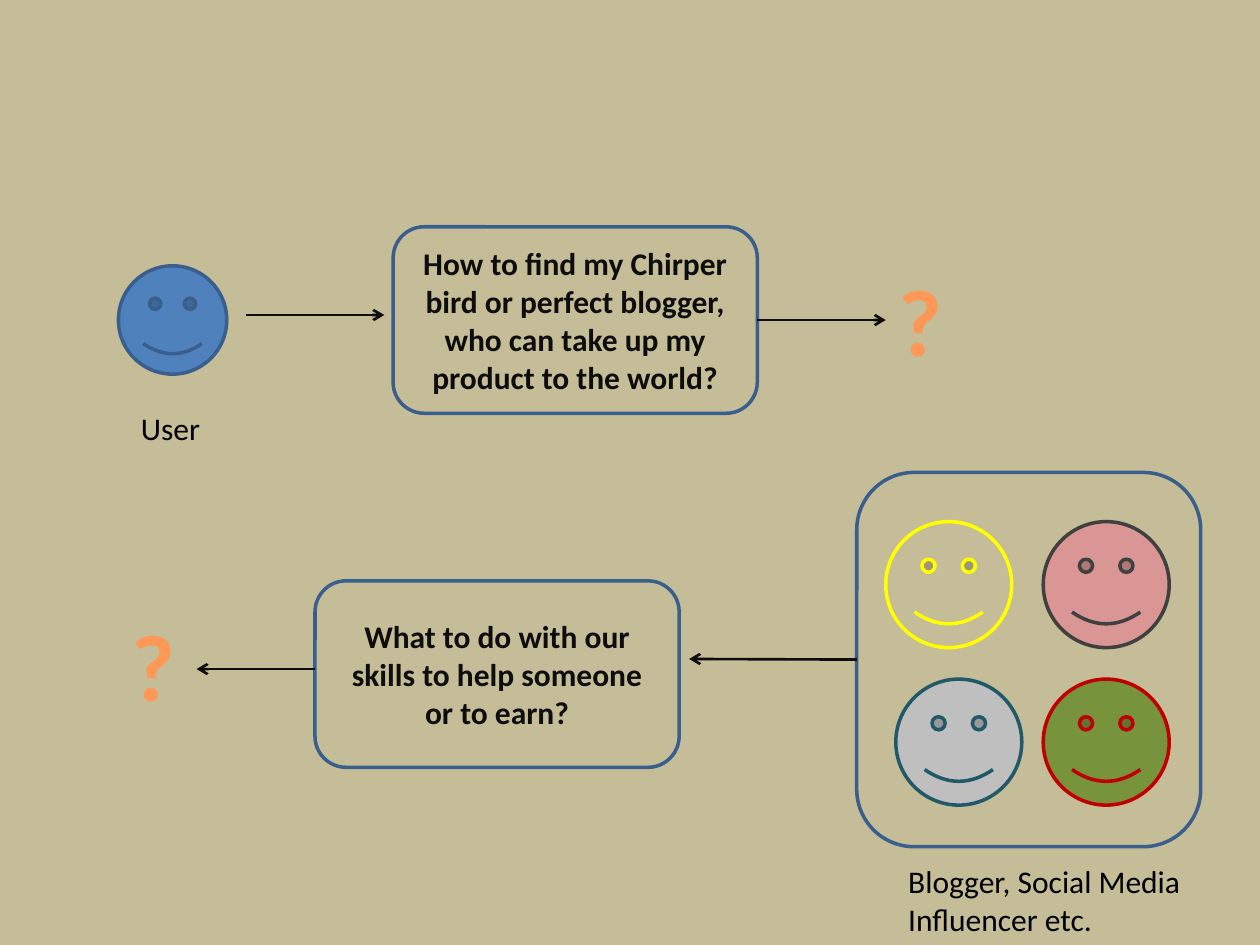
from typing import NamedTuple

from lxml.etree import SubElement
from pptx import Presentation
from pptx.dml.color import RGBColor
from pptx.enum.shapes import MSO_CONNECTOR, MSO_SHAPE
from pptx.enum.text import MSO_ANCHOR, MSO_AUTO_SIZE, PP_ALIGN
from pptx.oxml.ns import qn
from pptx.shapes.autoshape import Shape
from pptx.shapes.connector import Connector
from pptx.slide import Slide
from pptx.util import Inches, Pt

COLORS = {
    "sand": "C4BD97", "blue": "4F81BD", "navy": "3A5F8C", "ink": "0D0D0D",
    "black": "000000", "orange": "FF9856", "green": "77933C", "red": "C00000",
    "yellow": "FFFF00", "pink": "D99694", "charcoal": "404040",
    "silver": "BFBFBF", "teal": "215968",
}
LEFT_SIDE, RIGHT_SIDE = 1, 3
QUESTION_SIZE = (2.89, 1.48)


class Face(NamedTuple):
    left: float
    top: float
    size: float
    fill: str
    line: str


class Label(NamedTuple):
    left: float
    top: float
    width: float
    height: float
    text: str
    size: int = 18
    color: str = "black"
    bold: bool = False
    align: PP_ALIGN = PP_ALIGN.LEFT


class Arrow(NamedTuple):
    start: tuple[float, float]
    end: tuple[float, float]


FACES = [
    Face(0.94, 2.11, 0.86, "blue", "navy"),
    Face(8.28, 5.39, 1, "green", "red"),
    Face(7.03, 4.14, 1, "sand", "yellow"),
    Face(8.28, 4.14, 1, "pink", "charcoal"),
    Face(7.11, 5.39, 1, "silver", "teal"),
]
LABELS = [
    Label(1.02, 3.2, 0.68, 0.4, "User"),
    Label(7.11, 6.79, 2.44, 0.71, "Blogger, Social Media\nInfluencer etc."),
    *(Label(left, top, 0.55, 1.01, "?", 54, "orange", True, PP_ALIGN.CENTER)
      for left, top in [(0.94, 4.77), (7.03, 2.03)]),
]


def rgb(name: str) -> RGBColor:
    return RGBColor.from_string(COLORS[name])


def write_text(shape: Shape, text: str, *, size: int = 18, color: str = "ink",
               bold: bool = False, align: PP_ALIGN = PP_ALIGN.CENTER) -> None:
    """Fill the shape with text, one paragraph per line."""
    shape.text_frame.text = text
    for paragraph in shape.text_frame.paragraphs:
        paragraph.alignment = align
        for run in paragraph.runs:
            run.font.name = "Calibri"
            run.font.size = Pt(size)
            run.font.bold = bold
            run.font.color.rgb = rgb(color)


def add_outlined(slide: Slide, kind: MSO_SHAPE, left: float, top: float,
                 width: float, height: float, *, line: str = "navy",
                 fill: str | None = None) -> Shape:
    shape = slide.shapes.add_shape(
        kind, Inches(left), Inches(top), Inches(width), Inches(height))
    shape.shadow.inherit = False
    if fill is None:
        shape.fill.background()
    else:
        shape.fill.solid()
        shape.fill.fore_color.rgb = rgb(fill)
    shape.line.color.rgb = rgb(line)
    shape.line.width = Pt(2)
    return shape


def add_question(slide: Slide, left: float, top: float, text: str) -> Shape:
    box = add_outlined(slide, MSO_SHAPE.ROUNDED_RECTANGLE, left, top, *QUESTION_SIZE)
    write_text(box, text, bold=True)
    box.text_frame.word_wrap = True
    box.text_frame.vertical_anchor = MSO_ANCHOR.MIDDLE
    return box


def add_label(slide: Slide, label: Label) -> None:
    box = slide.shapes.add_textbox(
        Inches(label.left), Inches(label.top), Inches(label.width), Inches(label.height))
    write_text(box, label.text, size=label.size, color=label.color,
               bold=label.bold, align=label.align)
    box.text_frame.word_wrap = False
    box.text_frame.auto_size = MSO_AUTO_SIZE.SHAPE_TO_FIT_TEXT


def add_arrow(slide: Slide, arrow: Arrow) -> Connector:
    connector = slide.shapes.add_connector(
        MSO_CONNECTOR.STRAIGHT, *map(Inches, arrow.start + arrow.end))
    connector.line.color.rgb = rgb("ink")
    connector.line.width = Pt(1.5)
    properties = connector._element.spPr
    SubElement(properties.find(qn("a:ln")), qn("a:tailEnd"), type="arrow")
    SubElement(properties, qn("a:effectLst"))
    return connector


def main() -> None:
    deck = Presentation()
    deck.slide_width, deck.slide_height = Inches(10), Inches(7.5)
    slide = deck.slides.add_slide(deck.slide_layouts[6])
    slide.background.fill.solid()
    slide.background.fill.fore_color.rgb = rgb("sand")

    for face in FACES:
        add_outlined(slide, MSO_SHAPE.SMILEY_FACE, face.left, face.top,
                     face.size, face.size, fill=face.fill, line=face.line)
    influencers = add_outlined(
        slide, MSO_SHAPE.ROUNDED_RECTANGLE, 6.8, 3.75, 2.73, 2.97)
    user_question = add_question(
        slide, 3.12, 1.8,
        "How to find my Chirper bird or perfect blogger, "
        "who can take up my product to the world?")
    add_question(slide, 2.5, 4.61,
                 "What to do with our skills to help someone or to earn?")

    add_arrow(slide, Arrow((1.95, 2.5), (3.05, 2.5)))
    add_arrow(slide, Arrow((2.5, 5.31), (1.56, 5.31)))
    from_influencers = add_arrow(slide, Arrow((6.8, 5.24), (5.47, 5.23)))
    from_influencers.begin_connect(influencers, LEFT_SIDE)
    from_user_question = add_arrow(slide, Arrow((6.01, 2.54), (7.03, 2.54)))
    from_user_question.begin_connect(user_question, RIGHT_SIDE)

    for label in LABELS:
        add_label(slide, label)
    deck.save("out.pptx")


if __name__ == "__main__":
    main()
